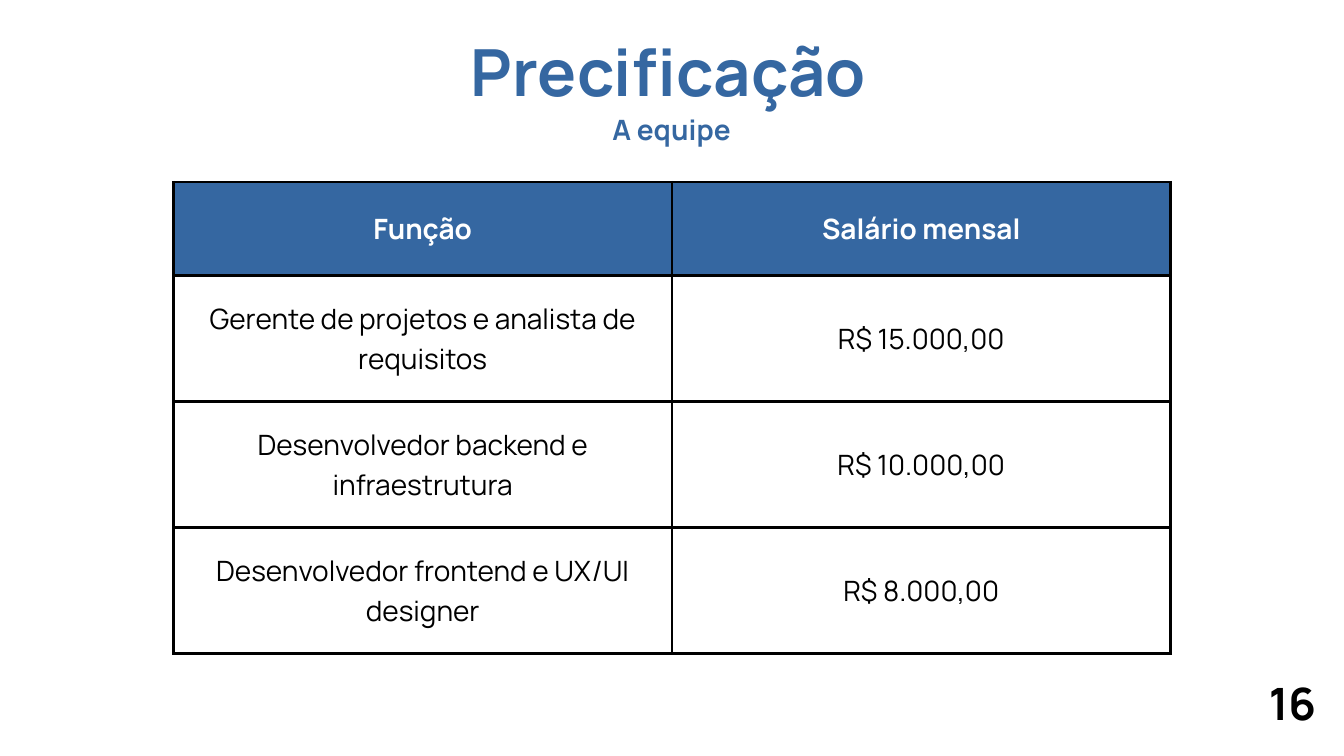
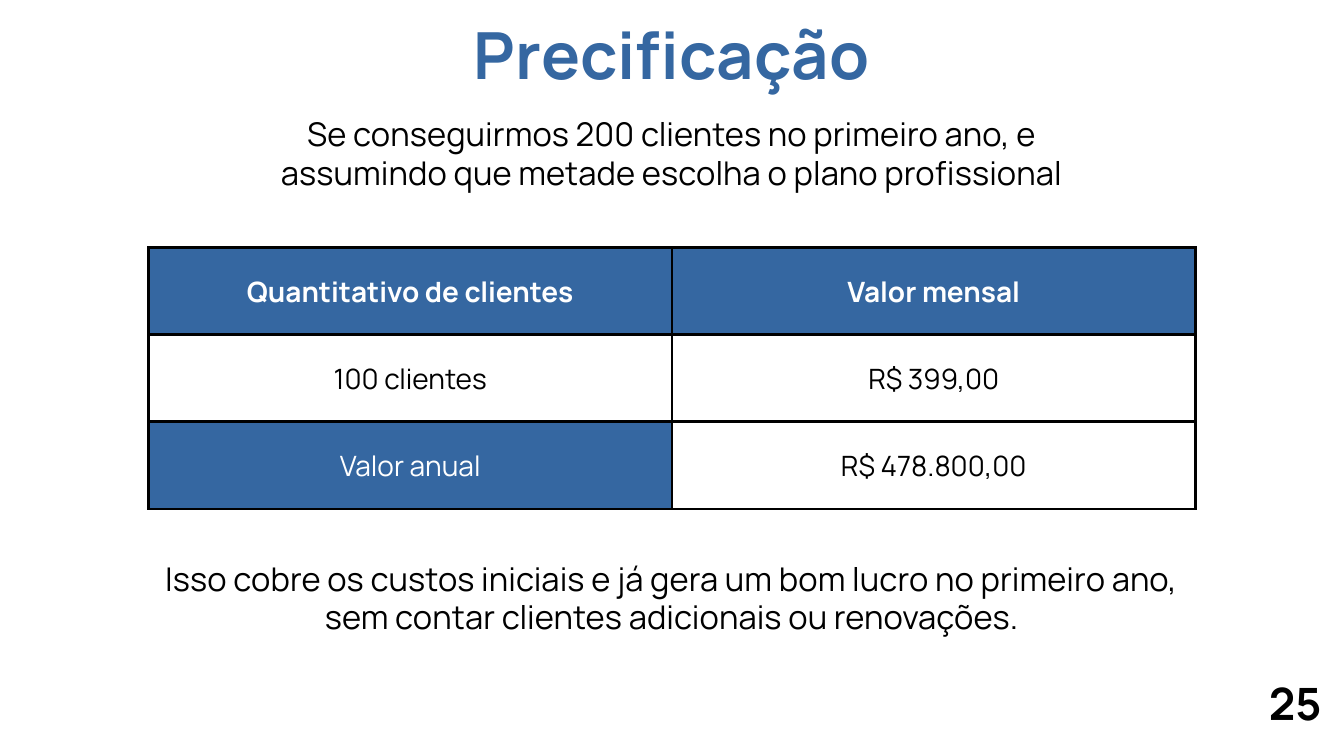
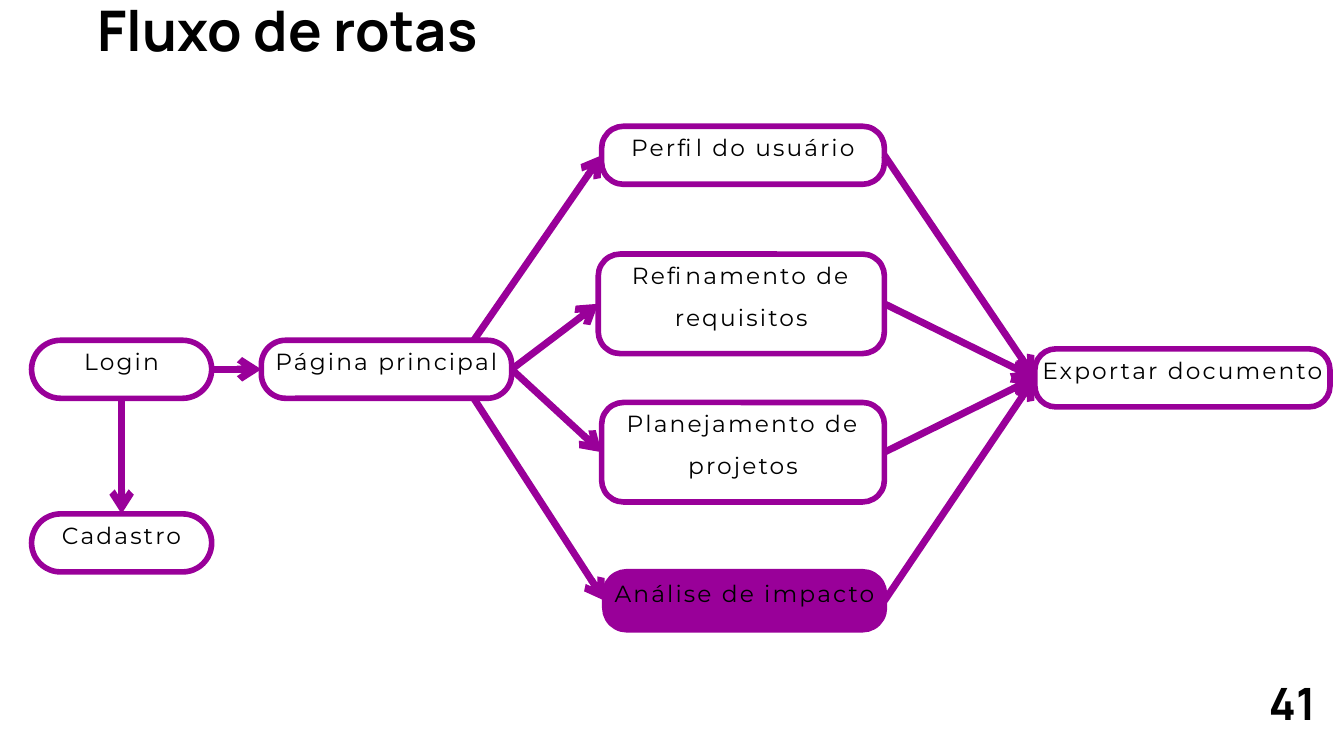
from lxml.etree import SubElement
from pptx import Presentation
from pptx.dml.color import RGBColor
from pptx.enum.shapes import MSO_CONNECTOR as Connector, MSO_SHAPE as Shape
from pptx.enum.text import MSO_ANCHOR as Anchor, MSO_AUTO_SIZE as AutoSize, PP_ALIGN as Align
from pptx.oxml.ns import qn
from pptx.util import Pt

COLORS = {"blue": "3567A1", "black": "000000", "white": "FFFFFF", "purple": "990099"}
TOP, LEFT, BOTTOM, RIGHT = range(4)


def write(frame, text, size, leading, font="Manrope", color="black", bold=False,
          align=Align.CENTER, anchor=Anchor.TOP, spacing=0):
    frame.word_wrap = True
    frame.vertical_anchor = anchor
    para = frame.paragraphs[0]
    para.alignment = align
    para.line_spacing = Pt(leading)
    span = para.add_run()
    span.text = text
    span.font.name = font
    span.font.size = Pt(size)
    span.font.bold = bold
    span.font.color.rgb = RGBColor.from_string(COLORS[color])
    if spacing:
        span._r.get_or_add_rPr().set("spc", str(round(spacing * 100)))


def add_text(page, area, inset, text, **style):
    box = page.shapes.add_textbox(*map(Pt, area))
    frame = box.text_frame
    frame.margin_left = frame.margin_right = frame.margin_top = frame.margin_bottom = Pt(inset)
    write(frame, text, **style)
    return box


TITLE = dict(size=69.6, leading=82.1, color="blue", bold=True, spacing=0.3)
SUBTITLE = dict(size=30, leading=35.4, color="blue", bold=True, spacing=0.1)
BODY = dict(size=35, leading=41.3, spacing=0.1)
HEADING = dict(size=60, leading=70.8, bold=True, spacing=0.2)
NUMBER = dict(size=47.7, leading=56.2, bold=True, align=Align.LEFT, spacing=0.2)
NODE = dict(size=25, leading=44.7, font="Montserrat", anchor=Anchor.MIDDLE, spacing=2.3)

deck = Presentation()
deck.slide_width, deck.slide_height = Pt(1440), Pt(810)

pages = []
for number in (16, 25, 41):
    page = deck.slides.add_slide(deck.slide_layouts[6])
    add_text(page, (1359.4, 725.8, 65.5, 60.5), 0, str(number), **NUMBER)
    pages.append(page)
team_page, revenue_page, routes_page = pages

texts = [
    (team_page, (410.4, 35.3, 612, 87), "Precificação", TITLE),
    (team_page, (648.7, 121, 141.8, 37.4), "A equipe", SUBTITLE),
    (revenue_page, (414, 17.3, 612, 87), "Precificação", TITLE),
    (revenue_page, (239, 123.1, 962, 85.7),
     "Se conseguirmos 200 clientes no primeiro ano, e assumindo que metade escolha o plano profissional",
     BODY),
    (revenue_page, (159.1, 599, 1121.8, 85.7),
     "Isso cobre os custos iniciais e já gera um bom lucro no primeiro ano, "
     "sem contar clientes adicionais ou renovações.", BODY),
    (routes_page, (80.6, -3.6, 455, 75.6), "Fluxo de rotas", HEADING),
]
for page, area, text, style in texts:
    box = add_text(page, area, 0, text, **style)
    box.text_frame.auto_size = AutoSize.SHAPE_TO_FIT_TEXT

tables = [
    (team_page, 185.8, 195.1, 534.2, [100, 135, 135, 135], [(0, 0), (0, 1)], [
        ("Função", "Salário mensal"),
        ("Gerente de projetos e analista de requisitos", "R$ 15.000,00"),
        ("Desenvolvedor backend e infraestrutura", "R$ 10.000,00"),
        ("Desenvolvedor frontend e UX/UI designer", "R$ 8.000,00"),
    ]),
    (revenue_page, 159.1, 265, 560.9, [93.4] * 3, [(0, 0), (0, 1), (2, 0)], [
        ("Quantitativo de clientes", "Valor mensal"),
        ("100 clientes", "R$ 399,00"),
        ("Valor anual", "R$ 478.800,00"),
    ]),
]
for page, left, top, column_width, heights, blue_cells, rows in tables:
    frame = page.shapes.add_table(len(rows), 2, Pt(left), Pt(top),
                                  Pt(2 * column_width), Pt(sum(heights)))
    table = frame.table
    table.first_row = table.horz_banding = False
    for column in table.columns:
        column.width = Pt(column_width)
    for row_index, row in enumerate(rows):
        table.rows[row_index].height = Pt(heights[row_index])
        for column_index, text in enumerate(row):
            cell = table.cell(row_index, column_index)
            on_blue = (row_index, column_index) in blue_cells
            cell.margin_left = cell.margin_right = cell.margin_top = cell.margin_bottom = Pt(15)
            write(cell.text_frame, text, size=30, leading=42, bold=row_index == 0,
                  color="white" if on_blue else "black")
            cell.vertical_anchor = Anchor.MIDDLE
            properties = cell._tc.get_or_add_tcPr()
            for side in ("a:lnL", "a:lnR", "a:lnT", "a:lnB"):
                border = SubElement(properties, qn(side), w=str(Pt(3)))
                fill = SubElement(border, qn("a:solidFill"))
                SubElement(fill, qn("a:srgbClr"), val=COLORS["black"])
            cell.fill.solid()
            cell.fill.fore_color.rgb = RGBColor.from_string(COLORS["blue" if on_blue else "white"])

nodes = [
    ("Login", 33.8, 364.6, 193, 62.2, 31.1, "white"),
    ("Cadastro", 33.8, 550.6, 193, 62.2, 31.1, "white"),
    ("Página principal", 280, 364.6, 268.2, 62.2, 26, "white"),
    ("Perfil do usuário", 644.6, 135.3, 303, 62.2, 23.4, "white"),
    ("Refinamento de requisitos", 641, 272.2, 306.6, 106.6, 23.4, "white"),
    ("Planejamento de projetos", 644.6, 431.2, 303, 106.6, 23.4, "white"),
    ("Análise de impacto", 648, 612.6, 299.6, 62.2, 23.4, "purple"),
    ("Exportar documento", 1108.8, 373.8, 316.2, 62.2, 22.4, "white"),
]
outlines = {}
for name, left, top, width, height, radius, color in nodes:
    outline = routes_page.shapes.add_shape(Shape.ROUNDED_RECTANGLE,
                                           *map(Pt, (left, top, width, height)))
    outline.adjustments[0] = radius / height
    outline.shadow.inherit = False
    outline.fill.solid()
    outline.fill.fore_color.rgb = RGBColor.from_string(COLORS[color])
    outline.line.color.rgb = RGBColor.from_string(COLORS["purple"])
    outline.line.width = Pt(6)
    add_text(routes_page, (left, top - 31.7, width, height + 31.7), 4, name, **NODE)
    outlines[name] = outline

main = "Página principal"
export = "Exportar documento"
routes = [
    ("Login", BOTTOM, "Cadastro", TOP),
    ("Login", RIGHT, main, LEFT),
    (main, TOP, "Perfil do usuário", LEFT),
    (main, RIGHT, "Refinamento de requisitos", LEFT),
    (main, RIGHT, "Planejamento de projetos", LEFT),
    (main, BOTTOM, "Análise de impacto", LEFT),
    ("Análise de impacto", RIGHT, export, LEFT),
    ("Planejamento de projetos", RIGHT, export, LEFT),
    ("Refinamento de requisitos", RIGHT, export, LEFT),
    ("Perfil do usuário", RIGHT, export, LEFT),
]
for source, exit_side, target, entry_side in routes:
    start = outlines[source]
    arrow = routes_page.shapes.add_connector(Connector.STRAIGHT, 0, 0, 0, 0)
    if source == main and exit_side != RIGHT:
        arrow.begin_x = Pt(507.6)
        arrow.begin_y = start.top if exit_side == TOP else start.top + start.height
    else:
        arrow.begin_connect(start, exit_side)
    arrow.end_connect(outlines[target], entry_side)
    arrow.line.color.rgb = RGBColor.from_string(COLORS["purple"])
    arrow.line.width = Pt(7.5)
    SubElement(arrow.line._get_or_add_ln(), qn("a:tailEnd"), type="arrow")
    SubElement(arrow._element.spPr, qn("a:effectLst"))

deck.save("out.pptx")
